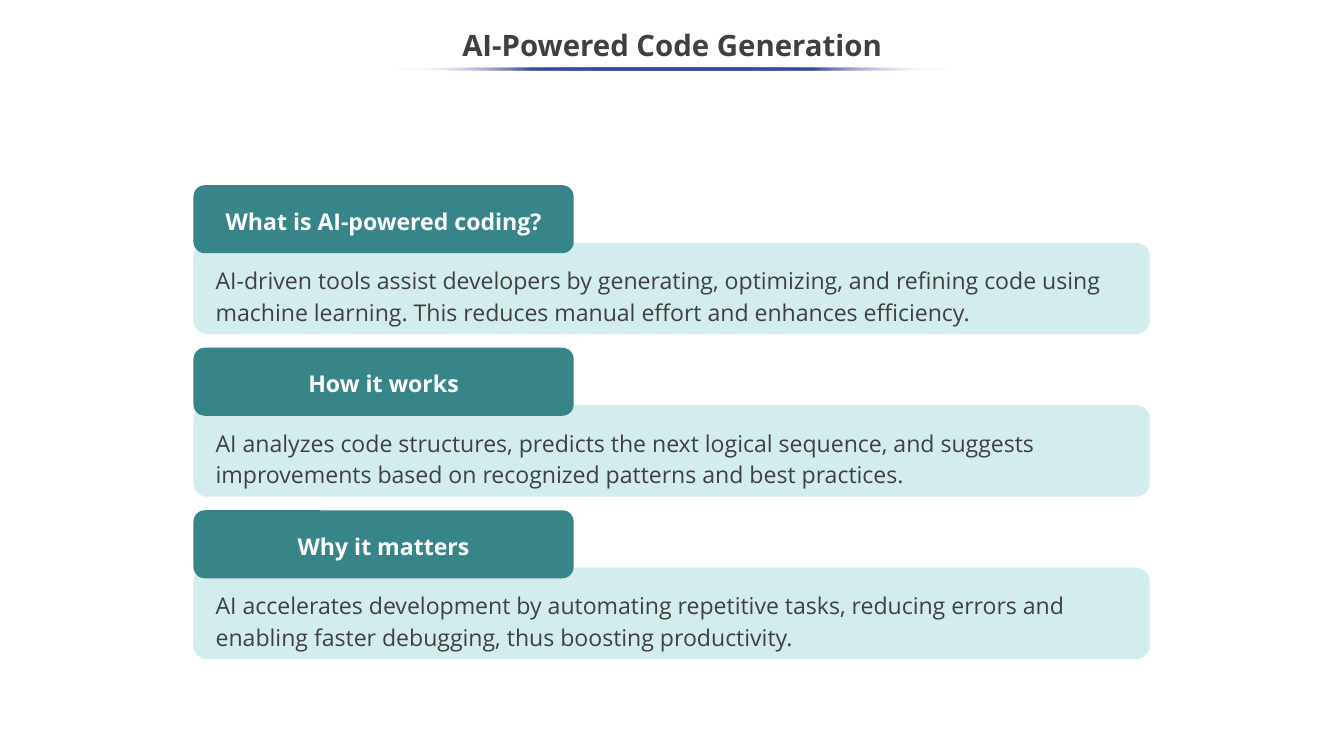
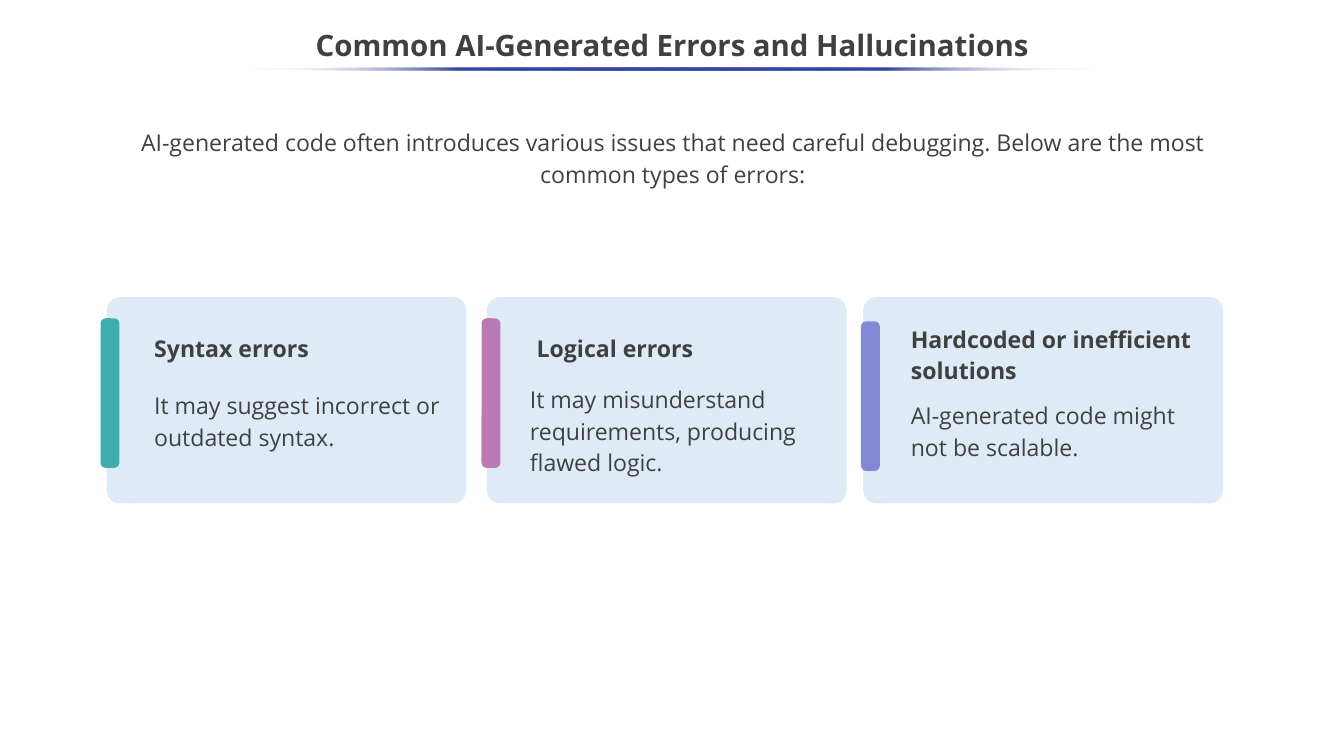
from dataclasses import dataclass

import lxml.etree
import pptx
import pptx.dml.color
import pptx.enum.shapes
import pptx.enum.text
import pptx.oxml
import pptx.oxml.ns
import pptx.util

Inches = pptx.util.Inches
ALIGN = pptx.enum.text.PP_ALIGN
ANCHOR = pptx.enum.text.MSO_ANCHOR
SHAPE = pptx.enum.shapes.MSO_SHAPE


@dataclass(frozen=True)
class Theme:
    font: str = "Open Sans"
    title_size: int = 28
    text_size: int = 22
    ink: str = "404040"
    white: str = "FFFFFF"
    rule: str = "3645A9"
    tab: str = "378589"
    panel: str = "D3ECED"
    card: str = "DEEBF7"
    teal: str = "3EADB0"
    mauve: str = "BA7AB2"
    violet: str = "8189D4"


THEME = Theme()
SLIDE_W, SLIDE_H = 17.78, 10
DEFAULT_INSETS = (0.1, 0.05, 0.1, 0.05)
NO_INSETS = (0, 0, 0, 0)


@dataclass
class ErrorCard:
    heading: str
    body: str
    color: str
    left: float
    bar_left: float
    bar_top: float
    heading_at: tuple
    body_at: tuple


TOPICS = [
    ("What is AI-powered coding?",
     "AI-driven tools assist developers by generating, optimizing, and refining code "
     "using machine learning. This reduces manual effort and enhances efficiency."),
    ("How it works",
     "AI analyzes code structures, predicts the next logical sequence, and suggests "
     "improvements based on recognized patterns and best practices."),
    ("Why it matters",
     "AI accelerates development by automating repetitive tasks, reducing errors and "
     "enabling faster debugging, thus boosting productivity."),
]

ERROR_CARDS = [
    ErrorCard("Syntax errors", "It may suggest incorrect or outdated syntax.",
              THEME.teal, 1.41, 1.33, 4.21,
              (2.04, 4.37, 3.91, 0.4), (2.04, 5.13, 4.3, 0.82)),
    ErrorCard("Logical errors", "It may misunderstand requirements, producing flawed logic.",
              THEME.mauve, 6.44, 6.37, 4.21,
              (7.1, 4.37, 3.91, 0.4), (7.01, 5.05, 4.41, 1.24)),
    ErrorCard("Hardcoded or inefficient solutions", "AI-generated code might not be scalable.",
              THEME.violet, 11.42, 11.39, 4.25,
              (12.05, 4.25, 3.91, 0.82), (12.05, 5.26, 4.04, 0.82)),
]


def rgb(color):
    return pptx.dml.color.RGBColor.from_string(color)


def set_attributes(obj, values):
    for name, value in values.items():
        setattr(obj, name, value)


def write_text(sp, text, size=THEME.text_size, color=THEME.ink, bold=False,
               align=ALIGN.LEFT, anchor=ANCHOR.TOP, spacing=1.14, insets=NO_INSETS):
    tf = sp.text_frame
    left, top, right, bottom = map(Inches, insets)
    set_attributes(tf, {"word_wrap": True, "vertical_anchor": anchor,
                        "margin_left": left, "margin_top": top,
                        "margin_right": right, "margin_bottom": bottom})
    p = tf.paragraphs[0]
    set_attributes(p, {"alignment": align, "line_spacing": spacing})
    r = p.add_run()
    r.text = text
    set_attributes(r.font, {"name": THEME.font, "size": pptx.util.Pt(size), "bold": bold})
    r.font.color.rgb = rgb(color)


def add_text(s, at, text, **style):
    write_text(s.shapes.add_textbox(*map(Inches, at)), text, **style)


def add_plain_shape(s, kind, at):
    sp = s.shapes.add_shape(kind, *map(Inches, at))
    sp.shadow.inherit = False
    sp.line.fill.background()
    return sp


def add_round_box(s, at, color, corner):
    sp = add_plain_shape(s, SHAPE.ROUNDED_RECTANGLE, at)
    sp.adjustments[0] = corner
    sp.fill.solid()
    sp.fill.fore_color.rgb = rgb(color)
    return sp


def fade_ends(sp, color):
    """Give the shape a horizontal gradient that is transparent at both ends."""
    sp.fill.gradient()
    sp.fill.gradient_angle = 0
    qn = pptx.oxml.ns.qn
    stops = sp.fill._xPr.find(qn("a:gradFill")).find(qn("a:gsLst"))
    for stop in list(stops):
        stops.remove(stop)
    for percent in range(0, 101, 25):
        end = percent in (0, 100)
        stop = lxml.etree.SubElement(stops, qn("a:gs"), pos=str(percent * 1000))
        clr = lxml.etree.SubElement(stop, qn("a:srgbClr"), val=THEME.white if end else color)
        if end:
            lxml.etree.SubElement(clr, qn("a:alpha"), val="0")


def add_titled_slide(prs, title, rule_width):
    s = prs.slides.add_slide(prs.slide_layouts[6])
    s.background.fill.solid()
    s.background.fill.fore_color.rgb = rgb(THEME.white)
    add_text(s, (0, 0.25, SLIDE_W, 0.75), title, size=THEME.title_size, bold=True,
             align=ALIGN.CENTER, anchor=ANCHOR.MIDDLE, spacing=0.9, insets=DEFAULT_INSETS)
    rule = add_plain_shape(s, SHAPE.OVAL, ((SLIDE_W - rule_width) / 2, 0.89, rule_width, 0.04))
    fade_ends(rule, THEME.rule)
    return s


def add_topic(s, top, heading, body):
    """Add a text panel with a heading tab over its upper left corner."""
    left = 2.56
    panel = add_round_box(s, (left, top + 0.76, 12.65, 1.21), THEME.panel, 0.15)
    write_text(panel, body, anchor=ANCHOR.MIDDLE, spacing=1.15, insets=(0.24, 0.2, 0.1, 0.05))
    tab = add_round_box(s, (left, top, 5.03, 0.9), THEME.tab, 0.167)
    write_text(tab, heading, color=THEME.white, bold=True, align=ALIGN.CENTER,
               anchor=ANCHOR.MIDDLE, insets=DEFAULT_INSETS)


def add_error_card(s, card):
    add_round_box(s, (card.left, 3.93, 4.76, 2.73), THEME.card, 0.065)
    add_round_box(s, (card.bar_left, card.bar_top, 0.25, 1.98), card.color, 0.285)
    add_text(s, card.heading_at, card.heading, bold=True)
    add_text(s, card.body_at, card.body)


def build_generation_slide(prs):
    s = add_titled_slide(prs, "AI-Powered Code Generation", 7.38)
    for i, (heading, body) in enumerate(TOPICS):
        add_topic(s, 2.45 + i * 2.15, heading, body)


def build_errors_slide(prs):
    s = add_titled_slide(prs, "Common AI-Generated Errors and Hallucinations", 11.26)
    add_text(s, (1.41, 1.65, 14.98, 0.99),
             "AI-generated code often introduces various issues that need careful debugging. "
             "Below are the most common types of errors:",
             align=ALIGN.CENTER, spacing=1.15, insets=(0.1, 0, 0.1, 0))
    for card in ERROR_CARDS:
        add_error_card(s, card)


def main():
    prs = pptx.Presentation()
    set_attributes(prs, {"slide_width": Inches(SLIDE_W), "slide_height": Inches(SLIDE_H)})
    build_generation_slide(prs)
    build_errors_slide(prs)
    prs.save("out.pptx")


if __name__ == "__main__":
    main()
